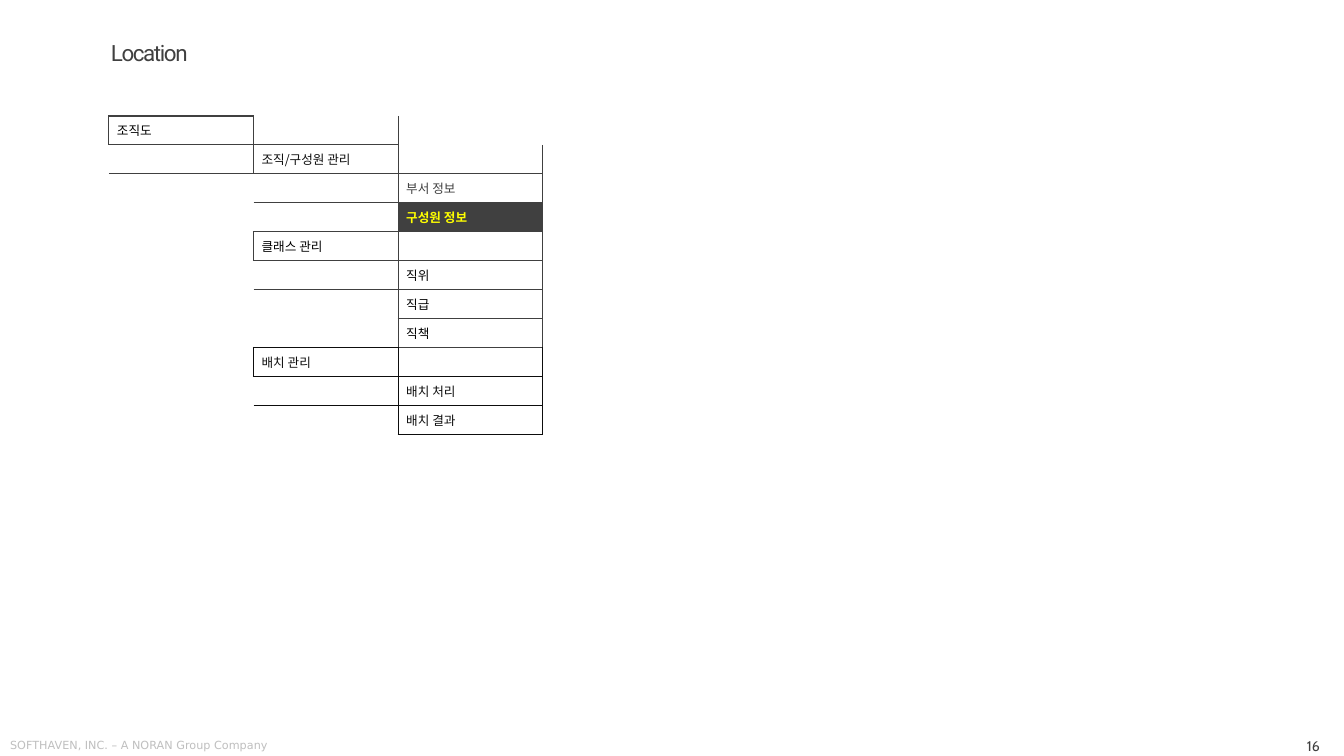
from lxml import etree
from pptx import Presentation
from pptx.dml.color import RGBColor
from pptx.enum.text import MSO_ANCHOR, PP_ALIGN
from pptx.oxml.ns import qn
from pptx.util import Inches, Pt

LEFT, RIGHT = PP_ALIGN.LEFT, PP_ALIGN.RIGHT
TOP, MIDDLE = MSO_ANCHOR.TOP, MSO_ANCHOR.MIDDLE
WIDE, HIGH = 13.33, 7.5
GRAY, INK, BLACK, WHITE = "404040", "0D0D0D", "000000", "FFFFFF"
PLAIN = "{2D5ABB26-0587-4C30-8999-92F81FD0307C}"
COLS = 4
SIDES = {"a:lnL": (0, -1), "a:lnR": (0, 1), "a:lnT": (-1, 0), "a:lnB": (1, 0)}
# Each row: level, label, text colour, line colour, fill
MENU = [
    (0, "조직도", BLACK, GRAY, None),
    (1, "조직/구성원 관리", INK, GRAY, None),
    (2, "부서 정보", GRAY, GRAY, None),
    (2, "구성원 정보", "FFFF00", GRAY, GRAY),
    (1, "클래스 관리", BLACK, GRAY, None),
    (2, "직위", BLACK, GRAY, None),
    (2, "직급", BLACK, GRAY, None),
    (2, "직책", BLACK, GRAY, None),
    (1, "배치 관리", INK, INK, WHITE),
    (2, "배치 처리", INK, INK, WHITE),
    (2, "배치 결과", INK, INK, WHITE),
]


def paint(target, color):
    """Give a font or a fill the hex colour."""
    if hasattr(target, "solid"):
        target.solid()
        target.fore_color.rgb = RGBColor.from_string(color)
    else:
        target.color.rgb = RGBColor.from_string(color)


def style(par, face, size, color, bold=False):
    """Format every run of a paragraph, East Asian face included."""
    for run in par.runs:
        run.font.name, run.font.size, run.font.bold = face, Pt(size), bold
        paint(run.font, color)
        etree.SubElement(run.font._element, qn("a:ea"), typeface=face)


def pad(item, left, top, right, bottom):
    """Set the inner margins of a frame or a cell in inches."""
    item.margin_left, item.margin_top = Inches(left), Inches(top)
    item.margin_right, item.margin_bottom = Inches(right), Inches(bottom)


def head(slide, box, text):
    """Move and format the title placeholder."""
    title = slide.shapes.title
    title.left, title.top, title.width, title.height = map(Inches, box)
    frame = title.text_frame
    frame.text = text
    frame.vertical_anchor = TOP
    pad(frame, 0, 0, 0, 0)
    par = frame.paragraphs[0]
    par.alignment, par.line_spacing, par.space_before = LEFT, 0.9, Pt(10)
    style(par, "Roboto", 16, GRAY)
    par.runs[0].font._element.set("spc", "-100")


def note(slide, box, text, face, size, color, align, anchor):
    """Place one line of text at the foot of the slide."""
    frame = slide.shapes.add_textbox(*map(Inches, box)).text_frame
    frame.text = text
    frame.word_wrap, frame.vertical_anchor = True, anchor
    pad(frame, 0.04, 0.05, 0.04, 0.05)
    frame.paragraphs[0].alignment = align
    style(frame.paragraphs[0], face, size, color)


def edge(row, col):
    """Return the line colour of a labelled cell, else None."""
    if 0 <= row < len(MENU) and MENU[row][0] == col:
        return MENU[row][3]
    return None


def rule(cell, row, col):
    """Draw the sides a cell shares with a labelled cell."""
    props = cell._tc.get_or_add_tcPr()
    for tag, (down, over) in SIDES.items():
        color = edge(row, col) or edge(row + down, col + over)
        if color:
            line = etree.SubElement(props, qn(tag), w=str(Pt(1)))
            fill = etree.SubElement(line, qn("a:solidFill"))
            etree.SubElement(fill, qn("a:srgbClr"), val=color)


def tree(slide, box):
    """Build the menu as a stepped table, one level a column."""
    x, y, w, h = box
    table = slide.shapes.add_table(len(MENU), COLS, *map(Inches, box)).table
    table.first_row = table.horz_banding = False
    table._tbl.tblPr.find(qn("a:tableStyleId")).text = PLAIN
    for part in table.columns:
        part.width = Inches(w / COLS)
    for part in table.rows:
        part.height = Inches(h / len(MENU))
    for row, (level, label, ink, _, fill) in enumerate(MENU):
        for col in range(COLS):
            cell = table.cell(row, col)
            pad(cell, 0.08, 0, 0, 0)
            cell.vertical_anchor = MIDDLE
            rule(cell, row, col)
            cell.fill.background()
            par = cell.text_frame.paragraphs[0]
            if col == level:
                par.text = label
                style(par, "Noto Sans CJK KR", 9, ink, fill == GRAY)
                if fill:
                    paint(cell.fill, fill)
            else:
                etree.SubElement(par._p, qn("a:endParaRPr"), sz="900")


def main():
    """Build the slide and save it."""
    deck = Presentation()
    deck.slide_width, deck.slide_height = Inches(WIDE), Inches(HIGH)
    slide = deck.slides.add_slide(deck.slide_layouts[5])
    note(slide, (WIDE - 0.91, HIGH - 0.21, 0.71, 0.21), "16",
         "Cabin", 10, GRAY, RIGHT, MIDDLE)
    note(slide, (0.06, HIGH - 0.22, 3.59, 0.21),
         "SOFTHAVEN, INC. – A NORAN Group Company",
         "DejaVu Sans", 8, "BFBFBF", LEFT, TOP)
    head(slide, (1.1, 0.42, 9.37, 0.36), "Location")
    tree(slide, (1.08, 1.15, 5.74, 3.16))
    deck.save("out.pptx")


if __name__ == "__main__":
    main()
